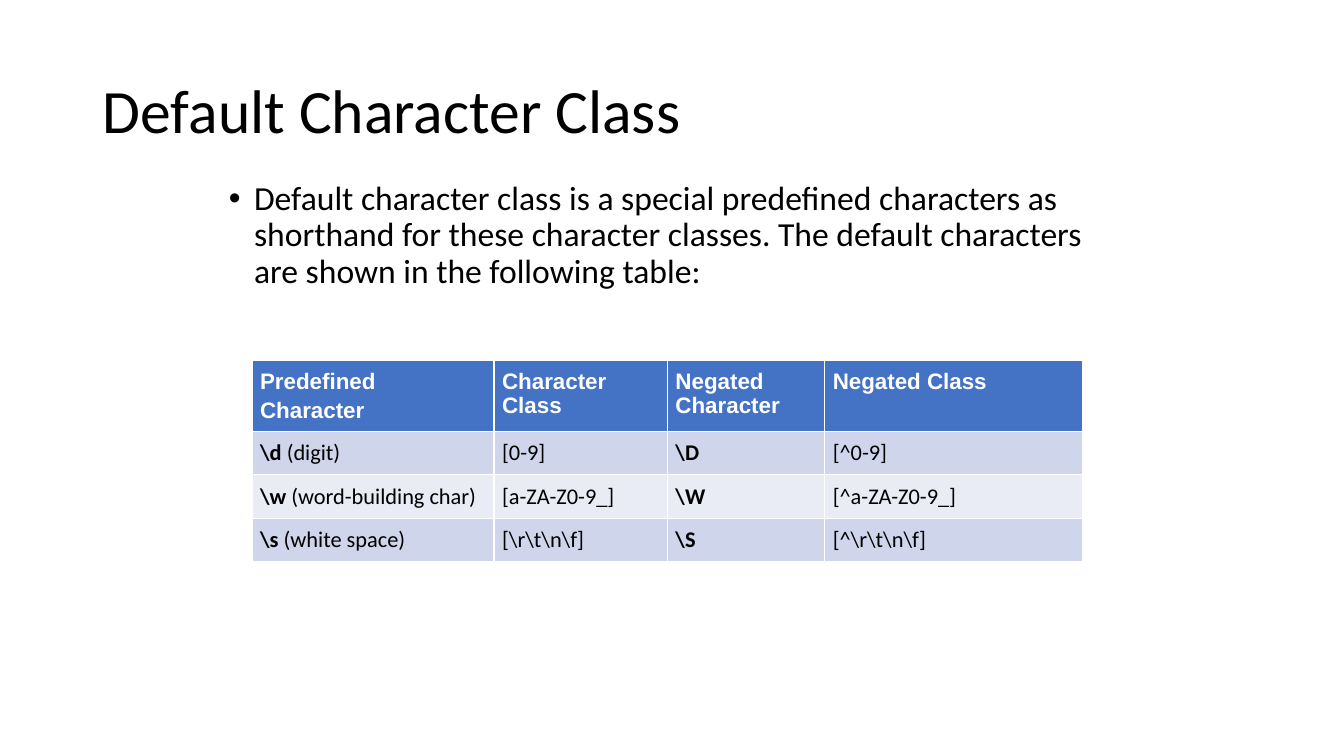
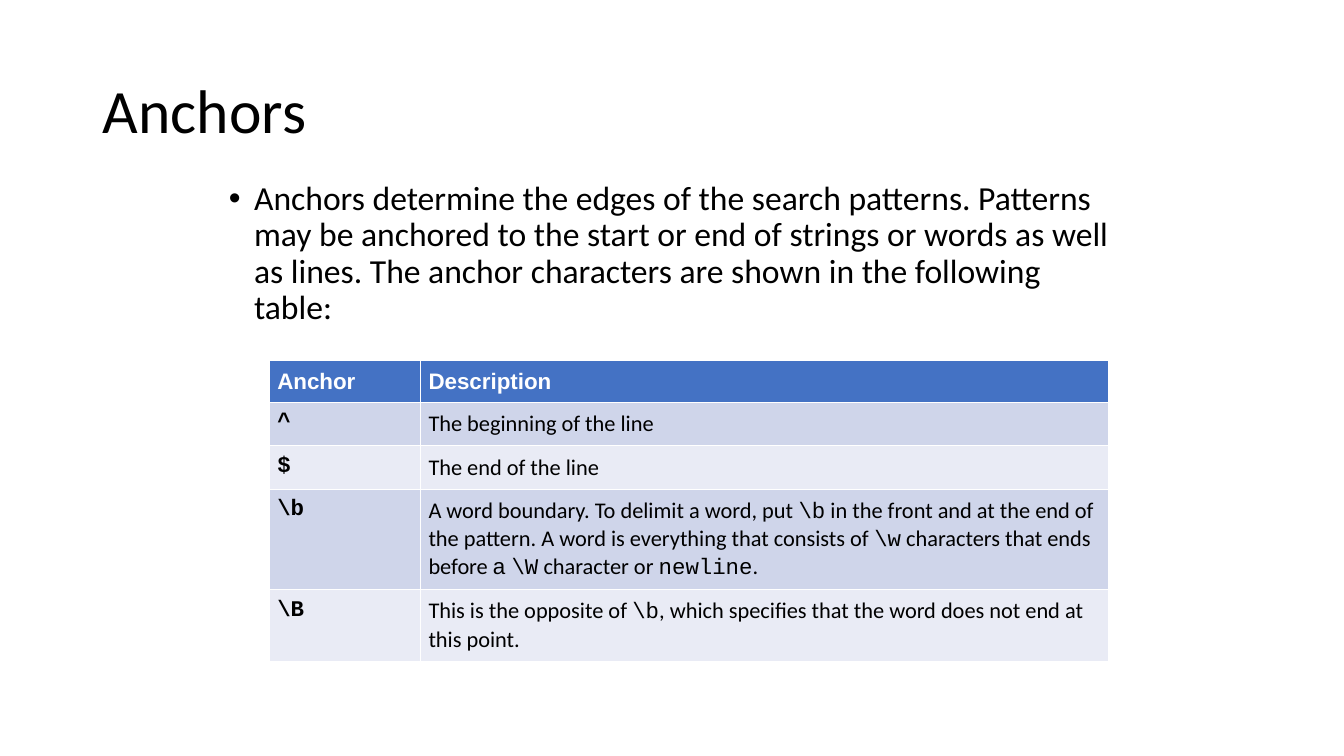
from collections import namedtuple

from lxml import etree
from pptx import Presentation
from pptx.dml.color import RGBColor
from pptx.enum.text import MSO_ANCHOR, MSO_AUTO_SIZE, PP_ALIGN
from pptx.oxml.ns import qn
from pptx.util import Inches, Pt

BLACK = RGBColor(0x00, 0x00, 0x00)
WHITE = RGBColor(0xFF, 0xFF, 0xFF)
HEADER_BLUE = RGBColor(0x44, 0x72, 0xC4)
BANDS = (RGBColor(0xCF, 0xD5, 0xEA), RGBColor(0xE9, 0xEB, 0xF5))

BODY_FONT, HEADER_FONT, CODE_FONT = "Calibri", "Arial", "Courier New"
ROW_HEIGHT = 0.41
CELL_MARGIN = Inches(0.08)

Span = namedtuple("Span", "text font bold color", defaults=(BODY_FONT, False, BLACK))


def strong(text):
    """Return a bold body span."""
    return Span(text, bold=True)


def code(text, bold=False):
    """Return a monospaced span."""
    return Span(text, CODE_FONT, bold)


def header_row(*labels):
    """Return one header cell for each label."""
    return [[Span(label, HEADER_FONT, True, WHITE)] for label in labels]


def write_span(paragraph, span, size):
    """Append a formatted run to a paragraph."""
    run = paragraph.add_run()
    run.text = span.text
    run.font.name = span.font
    run.font.size = Pt(size)
    run.font.bold = span.bold
    run.font.color.rgb = span.color


def fill_placeholder(placeholder, box, text, size, anchor):
    """Place a placeholder in its box and return its only paragraph."""
    placeholder.left, placeholder.top, placeholder.width, placeholder.height = map(Inches, box)
    frame = placeholder.text_frame
    frame.word_wrap = True
    frame.auto_size = MSO_AUTO_SIZE.NONE
    frame.vertical_anchor = anchor
    paragraph = frame.paragraphs[0]
    paragraph.alignment = PP_ALIGN.LEFT
    paragraph.line_spacing = 0.9
    write_span(paragraph, Span(text), size)
    return paragraph


def add_title(slide, box, text):
    """Write the slide title."""
    fill_placeholder(slide.shapes.title, box, text, 44, MSO_ANCHOR.MIDDLE)


def add_bullet(slide, box, text):
    """Write the introductory bullet."""
    paragraph = fill_placeholder(slide.placeholders[1], box, text, 24, MSO_ANCHOR.TOP)
    paragraph.space_before = Pt(10)
    properties = paragraph._p.get_or_add_pPr()
    properties.set("marL", str(Inches(0.25)))
    properties.set("indent", str(Inches(-0.25)))


def space_by_percent(paragraph, percent):
    """Set the space before a paragraph as a share of its line height."""
    before = etree.SubElement(paragraph._p.get_or_add_pPr(), qn("a:spcBef"))
    etree.SubElement(before, qn("a:spcPct")).set("val", str(percent * 1000))


def fill_cell(cell, spans, color):
    """Fill a cell with colour and spans, a line break starting a new paragraph."""
    cell.fill.solid()
    cell.fill.fore_color.rgb = color
    cell.margin_left = cell.margin_right = CELL_MARGIN
    cell.margin_top = cell.margin_bottom = CELL_MARGIN
    frame = cell.text_frame
    paragraph = frame.paragraphs[0]
    for span in spans:
        for index, line in enumerate(span.text.split("\n")):
            if index:
                paragraph = frame.add_paragraph()
            write_span(paragraph, span._replace(text=line), 16)
    for paragraph in frame.paragraphs:
        space_by_percent(paragraph, 20)


def add_banded_table(slide, left, top, widths, rows):
    """Add a table with a blue header and alternating bands."""
    table = slide.shapes.add_table(
        len(rows), len(widths), Inches(left), Inches(top),
        Inches(sum(widths)), Inches(ROW_HEIGHT * len(rows))).table
    for column, width in zip(table.columns, widths):
        column.width = Inches(width)
    for row_index, row in enumerate(rows):
        color = BANDS[(row_index - 1) % 2] if row_index else HEADER_BLUE
        for column_index, spans in enumerate(row):
            fill_cell(table.cell(row_index, column_index), spans, color)


def add_table_slide(deck, title, intro, intro_height, table_left, widths, rows):
    """Add a slide with a title, one bullet and a table."""
    slide = deck.slides.add_slide(deck.slide_layouts[1])
    add_title(slide, (0.92, 0.4, 11.5, 1.45), title)
    add_bullet(slide, (2.17, 1.75, 9, intro_height), intro)
    add_banded_table(slide, table_left, 3.58, widths, rows)


CLASS_ROWS = [
    header_row("Predefined\nCharacter", "Character Class", "Negated Character", "Negated Class"),
] + [
    [[strong("\\" + letter), Span(f" ({meaning})")], [Span(f"[{members}]")],
     [strong("\\" + letter.upper())], [Span(f"[^{members}]")]]
    for letter, meaning, members in (
        ("d", "digit", "0-9"),
        ("w", "word-building char", "a-ZA-Z0-9_"),
        ("s", "white space", r"\r\t\n\f"),
    )
]

ANCHOR_ROWS = [header_row("Anchor", "Description")] + [
    [[code(anchor, bold=True)], description]
    for anchor, description in (
        ("^", [Span("The beginning of the line")]),
        ("$", [Span("The end of the line")]),
        (r"\b", [
            Span("A word boundary. To delimit a word, put "), code(r"\b"),
            Span(" in the front and at the end of the pattern. "
                 "A word is everything that consists of "), code(r"\w"),
            Span(" characters that ends before "), Span("a ", HEADER_FONT), code(r"\W"),
            Span(" character or "), code("newline"), Span("."),
        ]),
        (r"\B", [
            Span("This is the opposite of "), code(r"\b"),
            Span(", which specifies that the word does not end at this point."),
        ]),
    )
]

deck = Presentation()
deck.slide_width, deck.slide_height = Inches(13.33), Inches(7.5)
add_table_slide(
    deck, "Default Character Class",
    "Default character class is a special predefined characters as shorthand for these "
    "character classes. The default characters are shown in the following table:",
    1.42, 2.5, (2.4, 1.72, 1.56, 2.56), CLASS_ROWS)
add_table_slide(
    deck, "Anchors",
    "Anchors determine the edges of the search patterns. Patterns may be anchored to the "
    "start or end of strings or words as well as lines. The anchor characters are shown "
    "in the following table:",
    1.75, 2.67, (1.5, 6.83), ANCHOR_ROWS)
deck.save("out.pptx")
